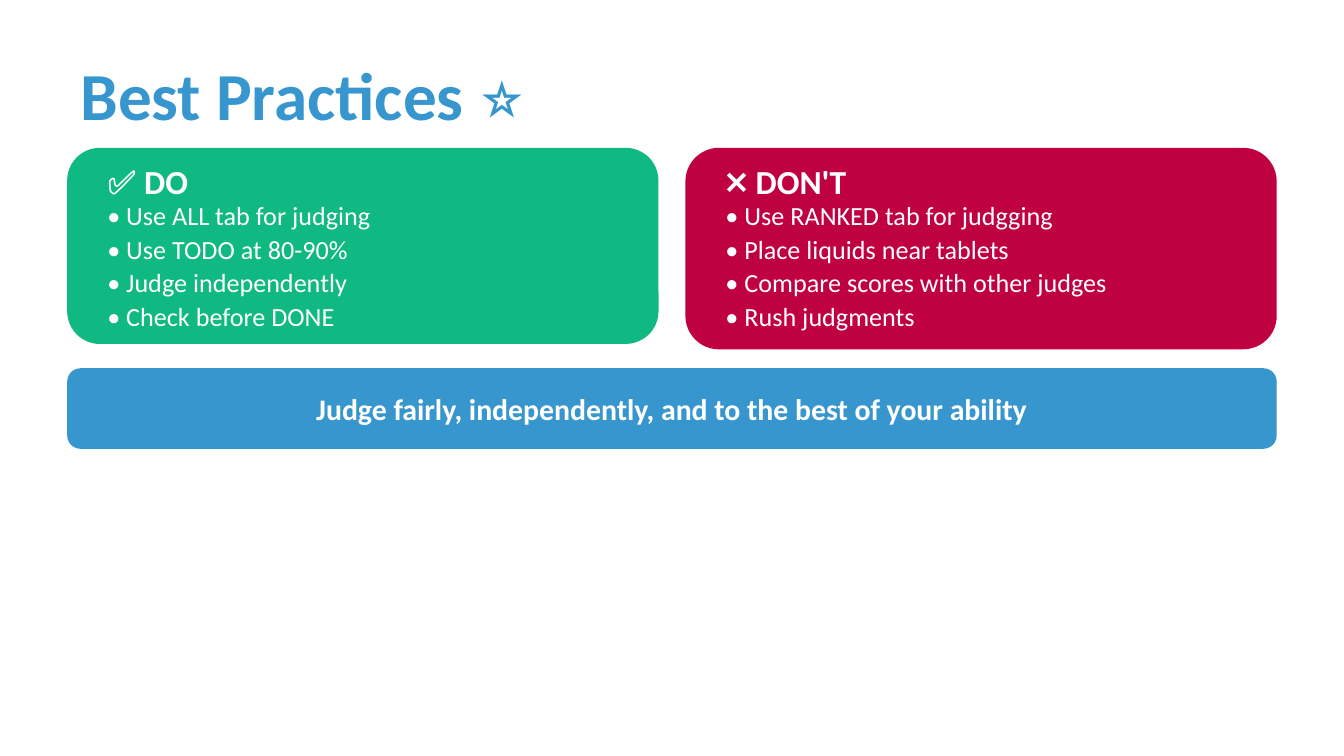
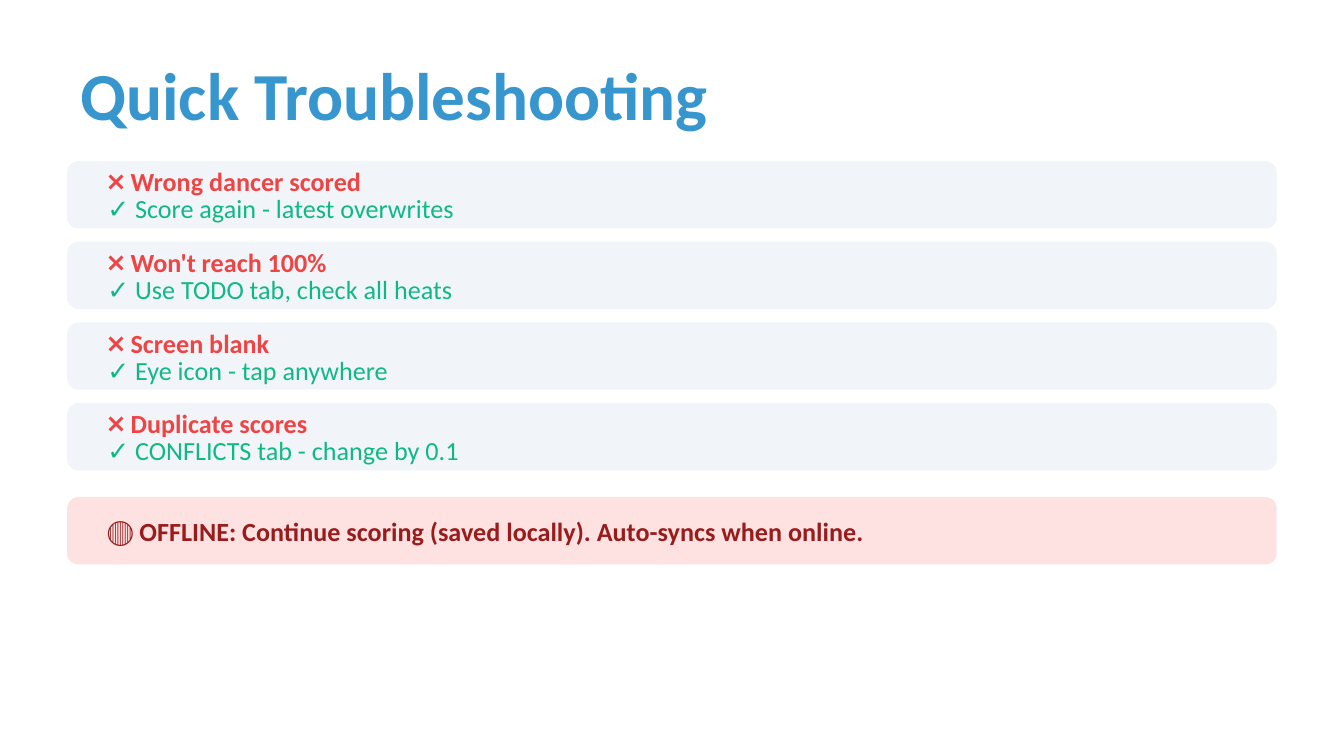
"""Build two judging-guide slides: best practices and quick troubleshooting."""
import pptx
import pptx.dml.color
import pptx.enum.shapes
import pptx.enum.text
import pptx.util

Inches = pptx.util.Inches
RGBColor = pptx.dml.color.RGBColor
ALIGN = pptx.enum.text.PP_ALIGN

FONT = "Calibri"
BLUE = RGBColor(0x36, 0x96, 0xCD)
GREEN = RGBColor(0x10, 0xB9, 0x81)
CRIMSON = RGBColor(0xBF, 0x00, 0x41)
RED = RGBColor(0xEF, 0x44, 0x44)
DARK_RED = RGBColor(0x99, 0x1B, 0x1B)
PINK = RGBColor(0xFE, 0xE2, 0xE2)
PALE = RGBColor(0xF1, 0xF5, 0xF9)
WHITE = RGBColor(0xFF, 0xFF, 0xFF)

PRACTICES_TITLE = "Best Practices ⭐"
PRACTICES = [
    ("✅ DO", GREEN, 1.46, [
        "Use ALL tab for judging",
        "Use TODO at 80-90%",
        "Judge independently",
        "Check before DONE",
    ]),
    ("❌ DON'T", CRIMSON, 1.5, [
        "Use RANKED tab for judgging",
        "Place liquids near tablets",
        "Compare scores with other judges",
        "Rush judgments",
    ]),
]
MOTTO = "Judge fairly, independently, and to the best of your ability"

TROUBLE_TITLE = "Quick Troubleshooting"
TROUBLES = [
    ("Wrong dancer scored", "Score again - latest overwrites"),
    ("Won't reach 100%", "Use TODO tab, check all heats"),
    ("Screen blank", "Eye icon - tap anywhere"),
    ("Duplicate scores", "CONFLICTS tab - change by 0.1"),
]
OFFLINE = "🔴 OFFLINE: Continue scoring (saved locally). Auto-syncs when online."

MARGIN = 0.5
WIDTH = 9
PAD = 0.2
CARD_W = 4.4
CARD_GAP = 0.2
ROW_H = 0.5
ROW_STEP = 0.6
LINE_H = 0.2


def add_text(s, text, x, y, w, h, size, color, bold=False, align=ALIGN.LEFT):
    tf = s.shapes.add_textbox(Inches(x), Inches(y), Inches(w), Inches(h)).text_frame
    tf.word_wrap = True
    tf.vertical_anchor = pptx.enum.text.MSO_ANCHOR.MIDDLE
    p = tf.paragraphs[0]
    p.alignment = align
    r = p.add_run()
    r.text = text
    r.font.name = FONT
    r.font.size = pptx.util.Pt(size)
    r.font.bold = bold
    r.font.color.rgb = color


def add_panel(s, x, y, w, h, color):
    sp = s.shapes.add_shape(pptx.enum.shapes.MSO_SHAPE.ROUNDED_RECTANGLE,
                            Inches(x), Inches(y), Inches(w), Inches(h))
    sp.shadow.inherit = False
    sp.fill.solid()
    sp.fill.fore_color.rgb = color
    sp.line.fill.background()


def add_titled_slide(prs, title):
    s = prs.slides.add_slide(prs.slide_layouts[6])
    add_text(s, title, MARGIN, 0.4, WIDTH, 0.6, 36, BLUE, bold=True)
    return s


def build_practices(prs):
    s = add_titled_slide(prs, PRACTICES_TITLE)
    for col, (heading, color, height, tips) in enumerate(PRACTICES):
        x = MARGIN + col * (CARD_W + CARD_GAP)
        add_panel(s, x, 1.1, CARD_W, height, color)
        add_text(s, heading, x + PAD, 1.2, CARD_W - 2 * PAD, 0.3, 18, WHITE, bold=True)
        for i, tip in enumerate(tips):
            add_text(s, f"• {tip}", x + PAD, 1.5 + i * 0.25, CARD_W - 2 * PAD, LINE_H, 14, WHITE)
    add_panel(s, MARGIN, 2.74, WIDTH, 0.6, BLUE)
    add_text(s, MOTTO, MARGIN + PAD, 2.89, WIDTH - 2 * PAD, 0.3, 16, WHITE,
             bold=True, align=ALIGN.CENTER)


def build_troubleshooting(prs):
    s = add_titled_slide(prs, TROUBLE_TITLE)
    x, w = MARGIN + PAD, WIDTH - 2 * PAD
    for i, (problem, fix) in enumerate(TROUBLES):
        y = 1.2 + i * ROW_STEP
        add_panel(s, MARGIN, y, WIDTH, ROW_H, PALE)
        add_text(s, f"❌ {problem}", x, y + 0.05, w, LINE_H, 14, RED, bold=True)
        add_text(s, f"✓ {fix}", x, y + 0.05 + LINE_H, w, LINE_H, 14, GREEN)
    add_panel(s, MARGIN, 3.7, WIDTH, ROW_H, PINK)
    add_text(s, OFFLINE, x, 3.7 + (ROW_H - LINE_H) / 2, w, LINE_H, 14, DARK_RED, bold=True)


def main():
    prs = pptx.Presentation()
    prs.slide_width = Inches(10)
    prs.slide_height = prs.slide_width * 9 // 16
    build_practices(prs)
    build_troubleshooting(prs)
    prs.save("out.pptx")


if __name__ == "__main__":
    main()
